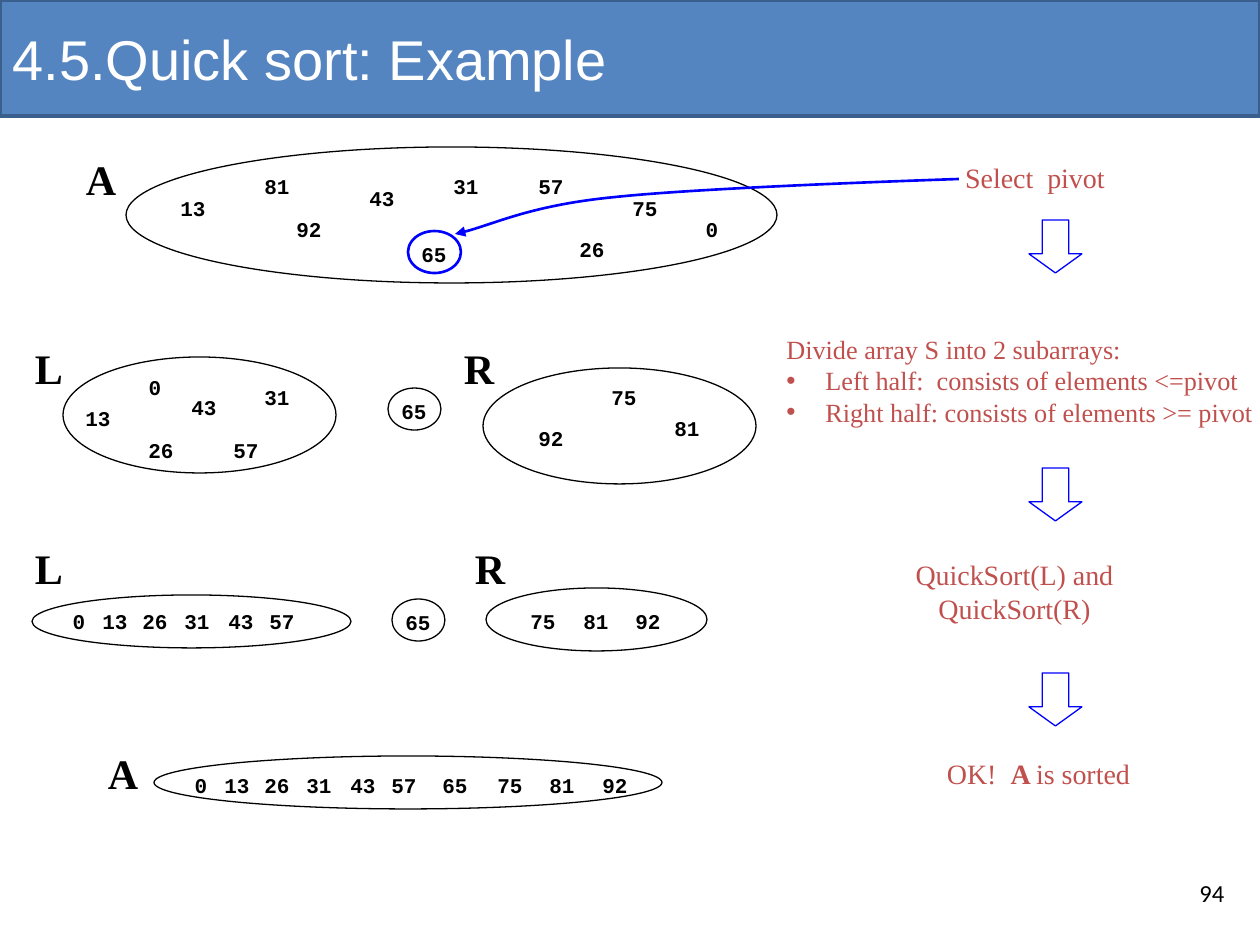
from lxml import etree
from pptx import Presentation
from pptx.dml.color import RGBColor
from pptx.enum.shapes import MSO_SHAPE as Shape
from pptx.enum.text import MSO_ANCHOR as Anchor, MSO_AUTO_SIZE as AutoSize, PP_ALIGN as Align
from pptx.oxml.ns import qn
from pptx.util import Pt

SCALE = 914400 / 126  # EMU per px
BLACK = RGBColor(0x00, 0x00, 0x00)
WHITE = RGBColor(0xFF, 0xFF, 0xFF)
BLUE = RGBColor(0x00, 0x00, 0xFF)
RED = RGBColor(0xC0, 0x50, 0x4D)
BAND = RGBColor(0x54, 0x85, 0xC0)
BAND_EDGE = RGBColor(0x3A, 0x5F, 0x8C)
SERIF = "Times New Roman"

# Centres of the numbers in a sorted row, from the left end of its ellipse
LOW_HALF = {"0": 47, "13": 83, "26": 123, "31": 165, "43": 209, "57": 250}
HIGH_HALF = {"75": 57, "81": 110, "92": 162}
WHOLE = LOW_HALF | {"65": 301, "75": 356, "81": 408, "92": 461}


def emu(*lengths):
    return [round(length * SCALE) for length in lengths]


def add_text(page, box, *paragraphs, size=12, font=SERIF, color=BLACK, bold=False,
             align=Align.CENTER, anchor=Anchor.MIDDLE, wrap=False, grow=True, bullet_from=None):
    """Each paragraph is a string or a list of (text, bold) spans."""
    frame = page.shapes.add_textbox(*emu(*box)).text_frame
    frame.word_wrap = wrap
    frame.auto_size = AutoSize.SHAPE_TO_FIT_TEXT if grow else AutoSize.NONE
    frame.vertical_anchor = anchor
    for index, content in enumerate(paragraphs):
        para = frame.add_paragraph() if index else frame.paragraphs[0]
        para.alignment = align
        if bullet_from is not None and index >= bullet_from:
            add_bullet(para)
        spans = [(content, bold)] if isinstance(content, str) else content
        for text, is_bold in spans:
            span = para.add_run()
            span.text = text
            span.font.size = Pt(size)
            span.font.name = font
            span.font.bold = is_bold
            span.font.color.rgb = color


def add_bullet(para):
    indent, = emu(39)
    properties = para._p.get_or_add_pPr()
    properties.set("marL", str(indent))
    properties.set("indent", str(-indent))
    etree.SubElement(properties, qn("a:buFont"), typeface="Arial")
    etree.SubElement(properties, qn("a:buChar"), char="•")


def style(shape, fill, line, width):
    shape.shadow.inherit = False
    if fill is None:
        shape.fill.background()
    else:
        shape.fill.solid()
        shape.fill.fore_color.rgb = fill
    shape.line.color.rgb = line
    shape.line.width = Pt(width)


def add_figure(page, kind, box, fill=None, line=BLACK, width=0.75):
    shape = page.shapes.add_shape(kind, *emu(*box))
    style(shape, fill, line, width)
    return shape


def add_header(page, box, title):
    add_figure(page, Shape.RECTANGLE, box, BAND, BAND_EDGE, 2)
    add_text(page, box, title, size=32, font="Arial", color=WHITE,
             align=Align.LEFT, wrap=True, grow=False)


def add_set(page, box, numbers, label=None, label_at=(0, 0), **look):
    """Ellipse holding numbers, given as (text, x, y) centres inside the box."""
    left, top = box[:2]
    add_figure(page, Shape.OVAL, box, **look)
    for text, x, y in numbers:
        width = 25 + 13 * len(text)
        add_text(page, (left + x - width / 2, top + y - 19, width, 38), text,
                 font="Courier New", bold=True)
    if label:
        add_text(page, (left + label_at[0], top + label_at[1], 56, 64), label,
                 size=24, bold=True)


def add_pivot(page, left, top, **look):
    add_set(page, (left, top, 53, 42), [("65", 26, 23)], **look)


def add_sorted_row(page, box, centres, y, label, label_at):
    add_set(page, box, [(text, x, y) for text, x in centres.items()], label, label_at)


def add_curve(page, start, *points):
    """Bezier arrow: every three points are two controls and an end."""
    builder = page.shapes.build_freeform(*start, scale=SCALE)
    builder.add_line_segments(points, close=False)
    curve = builder.convert_to_shape()
    style(curve, None, BLUE, 1.5)
    etree.SubElement(curve.line._get_or_add_ln(), qn("a:tailEnd"), type="triangle")
    outline = next(curve._element.iter(qn("a:path")))
    segments = outline.findall(qn("a:lnTo"))
    for first in range(0, len(segments), 3):
        bezier = etree.SubElement(outline, qn("a:cubicBezTo"))
        for segment in segments[first:first + 3]:
            bezier.append(segment[0])
            outline.remove(segment)


def add_steps(page, left, top):
    """Explanations down the right side, joined by block arrows."""
    add_text(page, (left + 174, top, 174, 47), "Select  pivot", size=16, color=RED)
    add_text(page, (left, top + 173, 496, 105), "Divide array S into 2 subarrays:",
             "Left half:  consists of elements <=pivot",
             "Right half: consists of elements >= pivot",
             size=15, color=RED, align=Align.LEFT, anchor=Anchor.TOP, bullet_from=1)
    add_text(page, (left + 69, top + 397, 343, 81), "QuickSort(L) and", "QuickSort(R)",
             size=16, color=RED, wrap=True)
    add_text(page, (left + 158, top + 596, 213, 47),
             [("OK!  ", False), ("A ", True), ("is sorted", False)], size=16, color=RED)
    for y in (66, 314, 519):
        arrow = add_figure(page, Shape.DOWN_ARROW, (left + 255, top + y, 53, 53), line=BLUE)
        arrow.adjustments[0] = 0.5
        arrow.adjustments[1] = 0.36


def main():
    deck = Presentation()
    deck.slide_width, deck.slide_height = emu(1260, 945)
    page = deck.slides.add_slide(deck.slide_layouts[6])

    add_header(page, (0, 0, 1260, 116), "4.5.Quick sort: Example")
    add_text(page, (1187, 872, 63, 50), "94", size=14, font="Calibri",
             align=Align.LEFT, anchor=Anchor.TOP, wrap=True, grow=False)

    add_set(page, (126, 147, 651, 136),
            [("13", 67, 61), ("81", 151, 39), ("92", 183, 82), ("43", 256, 51),
             ("31", 340, 39), ("57", 425, 39), ("26", 466, 102), ("75", 519, 61),
             ("0", 586, 82)], "A", (-53, 0), fill=WHITE)
    add_pivot(page, 408, 231, line=BLUE, width=1.5)

    add_set(page, (63, 357, 273, 116),
            [("13", 35, 61), ("43", 141, 50), ("31", 214, 40), ("57", 183, 93),
             ("26", 98, 93), ("0", 92, 30)], "L", (-42, -21), fill=WHITE)
    add_pivot(page, 388, 388)
    add_set(page, (483, 368, 273, 116),
            [("81", 204, 60), ("92", 68, 70), ("75", 141, 29)], "R", (-32, -32))

    add_sorted_row(page, (32, 595, 319, 53), LOW_HALF, 26, "L", (-11, -59))
    add_pivot(page, 392, 599)
    add_sorted_row(page, (486, 588, 221, 63), HIGH_HALF, 33, "R", (-24, -52))
    add_sorted_row(page, (154, 756, 508, 53), WHOLE, 29, "A", (-59, -15))

    add_steps(page, 774, 154)
    add_curve(page, (959, 179), (902, 181), (701, 188), (616, 197),
              (532, 205), (489, 227), (455, 234))
    deck.save("out.pptx")


if __name__ == "__main__":
    main()
